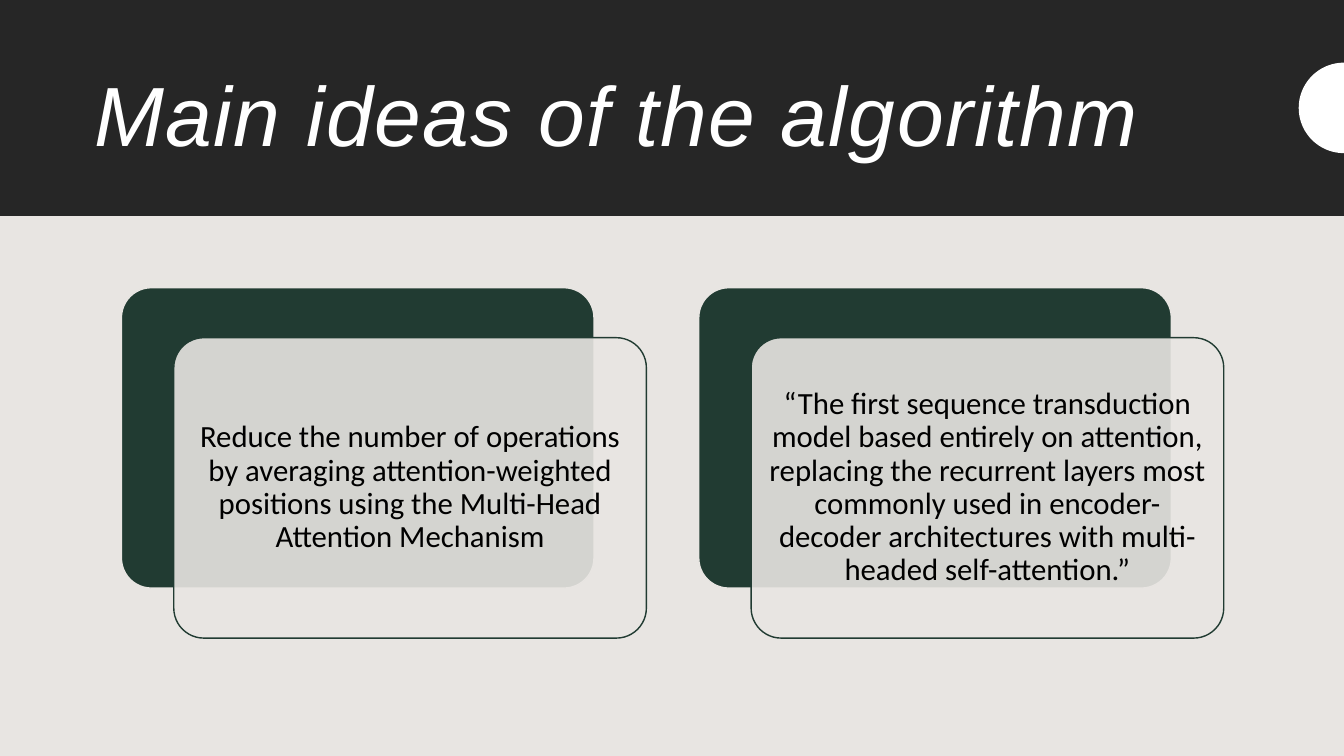
from dataclasses import dataclass
from math import cos, pi, sin

from lxml.etree import SubElement
from pptx import Presentation
from pptx.dml.color import RGBColor
from pptx.enum.shapes import MSO_SHAPE as Preset
from pptx.enum.text import MSO_ANCHOR as Anchor, MSO_AUTO_SIZE as AutoSize, PP_ALIGN as Align
from pptx.oxml.ns import qn
from pptx.util import Cm, Pt

SLIDE_WIDTH, SLIDE_HEIGHT = 33.87, 19.05
IDEAS = [
    "Reduce the number of operations by averaging attention-weighted positions "
    "using the Multi-Head Attention Mechanism",
    "“The first sequence transduction model based entirely on attention, replacing "
    "the recurrent layers most commonly used in encoder-decoder architectures with "
    "multi-headed self-attention.”",
]


@dataclass(frozen=True)
class Theme:
    paper: RGBColor = RGBColor.from_string("E8E5E2")
    band: RGBColor = RGBColor.from_string("262626")
    green: RGBColor = RGBColor.from_string("213B32")
    white: RGBColor = RGBColor.from_string("FFFFFF")
    black: RGBColor = RGBColor.from_string("000000")
    title_font: str = "Arial"
    body_font: str = "Calibri"
    title_size: int = 60
    body_size: int = 22
    line_spacing: float = 0.9


class SlideBuilder:
    """Draws styled elements on the current slide."""

    def __init__(self, slide, theme):
        self.slide = slide
        self.theme = theme

    def background(self):
        fill = self.slide.background.fill
        fill.solid()
        fill.fore_color.rgb = self.theme.paper

    def paint(self, shape, fill, line=None):
        shape.shadow.inherit = False
        shape.fill.solid()
        shape.fill.fore_color.rgb = fill
        if line is None:
            shape.line.fill.background()
        else:
            shape.line.color.rgb = line
            shape.line.width = Pt(1)

    def add_text(self, shape, text, font_name, size, color, align):
        frame = shape.text_frame
        frame.word_wrap = True
        frame.auto_size = AutoSize.NONE
        frame.vertical_anchor = Anchor.MIDDLE
        paragraph = frame.paragraphs[0]
        paragraph.alignment = align
        paragraph.line_spacing = self.theme.line_spacing
        run = paragraph.add_run()
        run.text = text
        run.font.name = font_name
        run.font.size = Pt(size)
        run.font.color.rgb = color
        return run

    def title(self, text, left, top, width, height):
        shape = self.slide.shapes.title
        shape.left, shape.top = Cm(left), Cm(top)
        shape.width, shape.height = Cm(width), Cm(height)
        theme = self.theme
        run = self.add_text(
            shape, text, theme.title_font, theme.title_size, theme.white, Align.LEFT)
        run.font.italic = True
        run.font._element.set("spc", "100")

    def band(self, height):
        shape = self.slide.shapes.add_shape(
            Preset.RECTANGLE, 0, 0, Cm(SLIDE_WIDTH), Cm(height))
        self.paint(shape, self.theme.band)
        self.slide.shapes.title.element.addprevious(shape.element)

    def edge_half_circle(self, center_y, radius, steps=48):
        angles = [pi * step / steps for step in range(steps + 1)]
        points = [(Cm(SLIDE_WIDTH - radius * sin(angle)), Cm(center_y - radius * cos(angle)))
                  for angle in angles]
        outline = self.slide.shapes.build_freeform(*points[0])
        outline.add_line_segments(points[1:], close=True)
        self.paint(outline.convert_to_shape(), self.theme.white)

    def rounded_box(self, left, top, width, height, fill, line):
        shape = self.slide.shapes.add_shape(
            Preset.ROUNDED_RECTANGLE, Cm(left), Cm(top), Cm(width), Cm(height))
        shape.adjustments[0] = 0.1
        self.paint(shape, fill, line)
        return shape

    def idea_card(self, text, left, top, width=11.91, height=7.57, offset=(1.32, 1.26)):
        theme = self.theme
        self.rounded_box(left, top, width, height, theme.green, theme.paper)
        panel = self.rounded_box(
            left + offset[0], top + offset[1], width, height, theme.paper, theme.green)
        color = panel.element.spPr.find(qn("a:solidFill"))[0]
        SubElement(color, qn("a:alpha")).set("val", "90000")
        frame = panel.text_frame
        frame.margin_left = frame.margin_right = Cm(0.2)
        frame.margin_top = frame.margin_bottom = Cm(0.2)
        self.add_text(panel, text, theme.body_font, theme.body_size, theme.black, Align.CENTER)


def main():
    presentation = Presentation()
    presentation.slide_width = Cm(SLIDE_WIDTH)
    presentation.slide_height = Cm(SLIDE_HEIGHT)
    title_only = presentation.slide_layouts.get_by_name("Title Only")
    builder = SlideBuilder(presentation.slides.add_slide(title_only), Theme())

    builder.background()
    builder.band(height=5.44)
    builder.title("Main ideas of the algorithm", 2.12, 1.17, 29.63, 3.68)
    builder.edge_half_circle(center_y=2.72, radius=1.14)
    for index, idea in enumerate(IDEAS):
        builder.idea_card(idea, left=3.06 + index * 14.55, top=7.25)

    presentation.save("out.pptx")


if __name__ == "__main__":
    main()
